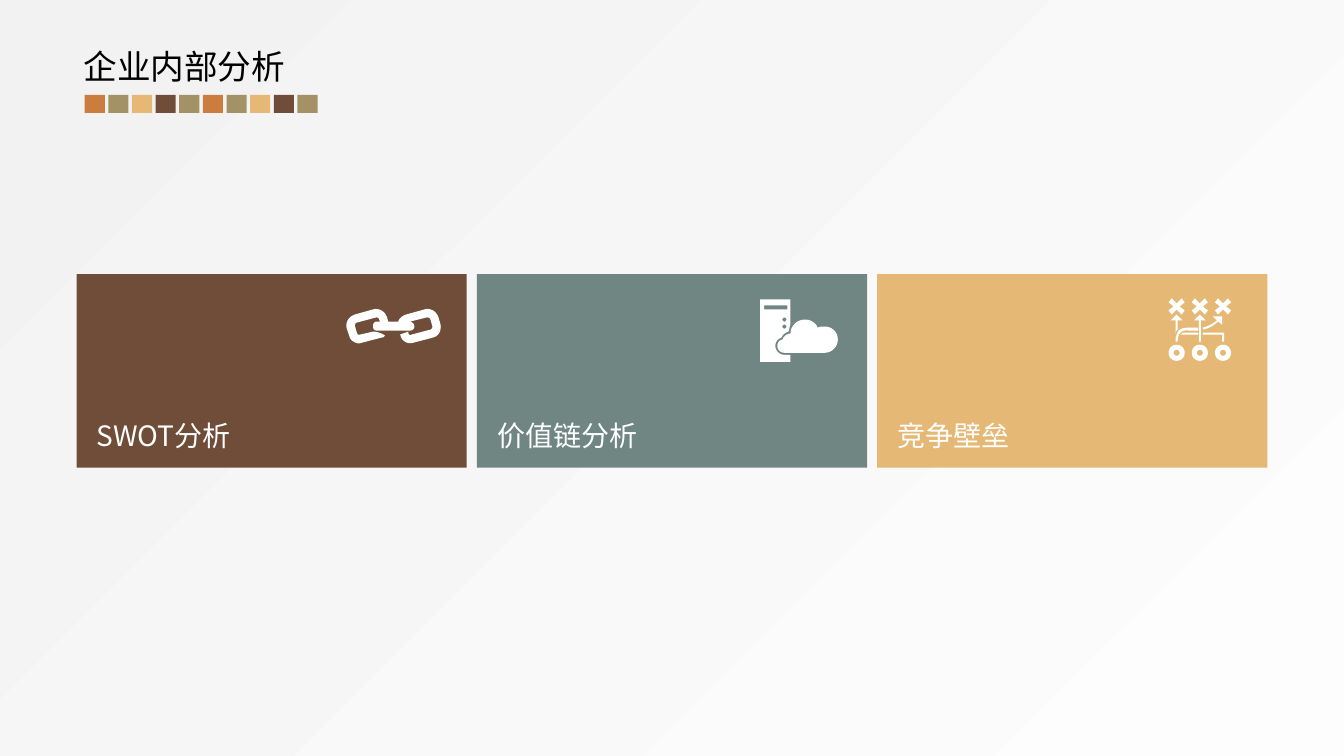
from math import cos, pi, sin

from lxml import etree
from pptx import Presentation
from pptx.dml.color import RGBColor
from pptx.enum.shapes import MSO_SHAPE
from pptx.enum.text import MSO_ANCHOR, MSO_AUTO_SIZE, PP_ALIGN
from pptx.oxml.ns import qn
from pptx.util import Inches, Pt

RECT = MSO_SHAPE.RECTANGLE
BOTTOM = MSO_ANCHOR.BOTTOM
LEFT = PP_ALIGN.LEFT
FIT_SHAPE = MSO_AUTO_SIZE.SHAPE_TO_FIT_TEXT
FONT = "Noto Sans CJK SC"

BLACK = RGBColor(0x00, 0x00, 0x00)
WHITE = RGBColor(0xFF, 0xFF, 0xFF)
PALE = RGBColor(0xFD, 0xFD, 0xFD)
GREY = RGBColor(0xF2, 0xF2, 0xF2)
BROWN = RGBColor(0x6F, 0x4D, 0x39)
TEAL = RGBColor(0x6F, 0x86, 0x83)
SAND = RGBColor(0xE6, 0xB8, 0x75)
ORANGE = RGBColor(0xCB, 0x7D, 0x40)
OLIVE = RGBColor(0xA2, 0x92, 0x66)

prs = Presentation()
prs.slide_width, prs.slide_height = Inches(13.33), Inches(7.5)
slide = prs.slides.add_slide(prs.slide_layouts[6])
shapes = slide.shapes


def draw_icon(contours):
    """Fill contours in white; a point of six numbers is a cubic curve."""
    builder = None
    for contour in contours:
        points = [contour[0]]
        for step in contour[1:]:
            if len(step) == 2:
                points.append(step)
                continue
            x0, y0 = points[-1]
            x1, y1, x2, y2, x3, y3 = step
            for k in range(1, 9):
                t = k / 8
                a, b, c, d = (1 - t) ** 3, 3 * t * (1 - t) ** 2, 3 * t * t * (1 - t), t ** 3
                points.append((a * x0 + b * x1 + c * x2 + d * x3,
                               a * y0 + b * y1 + c * y2 + d * y3))
        points = [(x * 1000, y * 1000) for x, y in points]
        if builder is None:
            builder = shapes.build_freeform(*points[0], scale=Inches(1) / 1000)
        else:
            builder.move_to(*points[0])
        builder.add_line_segments(points[1:], close=True)
    sp = builder.convert_to_shape()
    sp.shadow.inherit = False
    sp.fill.solid()
    sp.fill.fore_color.rgb = WHITE
    sp.line.fill.background()


def circle(cx, cy, radius):
    return [(cx + radius * cos(k * pi / 16), cy + radius * sin(k * pi / 16)) for k in range(32)]


# Background: radial gradient from the bottom right corner
fill = slide.background.fill
fill.gradient()
for stop, color in zip(fill.gradient_stops, (PALE, GREY)):
    stop.color.rgb = color
lin = next(slide.element.iter(qn("a:lin")))
radial = etree.Element(qn("a:path"), path="circle")
etree.SubElement(radial, qn("a:fillToRect"), l="100000", t="100000")
lin.getparent().replace(lin, radial)

# Topic tiles
TILE_LEFT, TILE_TOP, TILE_PITCH = 0.76, 2.72, 3.97
labels = []
for col, (topic, color) in enumerate([("SWOT分析", BROWN), ("价值链分析", TEAL), ("竞争壁垒", SAND)]):
    sp = shapes.add_shape(RECT, Inches(TILE_LEFT + col * TILE_PITCH), Inches(TILE_TOP),
                          Inches(3.87), Inches(1.92))
    sp.shadow.inherit = False
    sp.fill.solid()
    sp.fill.fore_color.rgb = color
    sp.line.fill.background()
    tf = sp.text_frame
    tf.vertical_anchor = BOTTOM
    tf.margin_left = tf.margin_right = Inches(0.2)
    tf.margin_top = tf.margin_bottom = Inches(0.16)
    labels.append((tf, topic, 20, WHITE))

# Chain
draw_icon([[
    (4.37, 3.22), (4.35, 3.15), (4.33, 3.09, 4.27, 3.05, 4.21, 3.07), (4.03, 3.12),
    (3.99, 3.13, 3.96, 3.16, 3.95, 3.19), (3.85, 3.19), (3.84, 3.15),
    (3.82, 3.09, 3.76, 3.05, 3.7, 3.07), (3.52, 3.12), (3.46, 3.14, 3.42, 3.2, 3.44, 3.26),
    (3.46, 3.32), (3.47, 3.35, 3.48, 3.38, 3.51, 3.39), (3.54, 3.41, 3.57, 3.41, 3.59, 3.4),
    (3.78, 3.35), (3.8, 3.35, 3.81, 3.34, 3.82, 3.33), (3.78, 3.3, 3.73, 3.29, 3.7, 3.29),
    (3.57, 3.32), (3.55, 3.32), (3.54, 3.3), (3.52, 3.23), (3.52, 3.22, 3.53, 3.2, 3.54, 3.2),
    (3.73, 3.15), (3.74, 3.15, 3.76, 3.15, 3.76, 3.17), (3.77, 3.19), (3.74, 3.19),
    (3.71, 3.19, 3.7, 3.21, 3.7, 3.24), (3.7, 3.26, 3.71, 3.28, 3.74, 3.28), (4.07, 3.28),
    (4.09, 3.28, 4.11, 3.26, 4.11, 3.24), (4.11, 3.21, 4.09, 3.2, 4.07, 3.19), (4.23, 3.15),
    (4.25, 3.15, 4.26, 3.15, 4.27, 3.17), (4.29, 3.24), (4.29, 3.25, 4.28, 3.27, 4.27, 3.27),
    (4.08, 3.32), (4.07, 3.33, 4.05, 3.32, 4.05, 3.3), (4.05, 3.29),
    (4.02, 3.3, 3.99, 3.31, 3.97, 3.32), (3.98, 3.38, 4.04, 3.42, 4.1, 3.4), (4.29, 3.35),
    (4.35, 3.34, 4.38, 3.28, 4.37, 3.22)]])

# Server and cloud
cloud = [(8.31, 3.37), (8.31, 3.44, 8.25, 3.5, 8.18, 3.5), (7.78, 3.5),
         (7.74, 3.5, 7.71, 3.47, 7.71, 3.43), (7.71, 3.4, 7.73, 3.37, 7.76, 3.37),
         (7.77, 3.34, 7.8, 3.31, 7.84, 3.31), (7.84, 3.23, 7.91, 3.17, 7.98, 3.17),
         (8.04, 3.17, 8.09, 3.2, 8.11, 3.25), (8.13, 3.24, 8.16, 3.24, 8.18, 3.24),
         (8.25, 3.24, 8.31, 3.29, 8.31, 3.37)]
server = [(7.84, 3.52), (7.84, 3.59), (7.54, 3.59), (7.54, 2.97), (7.84, 2.97), (7.84, 3.22),
          (7.83, 3.24, 7.83, 3.27, 7.82, 3.29), (7.79, 3.3, 7.76, 3.32, 7.75, 3.35),
          (7.71, 3.36, 7.69, 3.4, 7.69, 3.43), (7.69, 3.48, 7.73, 3.52, 7.78, 3.52)]
slot = [(7.58, 3.03), (7.81, 3.03), (7.81, 3.07), (7.58, 3.07)]
draw_icon([cloud, server, slot, circle(7.78, 3.24, 0.02), circle(7.78, 3.17, 0.02)])

# Game plan: crosses above, rings below, arrows between
CROSS = [(0.03, 0), (0.08, 0.04), (0.05, 0.08), (0, 0.03), (-0.05, 0.08), (-0.08, 0.04),
         (-0.03, 0), (-0.08, -0.04), (-0.05, -0.08), (0, -0.03), (0.05, -0.08), (0.08, -0.04)]
plan = []
for col in range(3):
    cx = 11.67 + col * 0.23
    plan += [[(cx + dx, 3.04 + dy) for dx, dy in CROSS],
             circle(cx, 3.5, 0.08), circle(cx, 3.5, 0.03)]
plan += [
    [(11.93, 3.3), (11.93, 3.32), (12.12, 3.32), (12.12, 3.39), (12.14, 3.39), (12.14, 3.3)],
    [(11.73, 3.3), (11.71, 3.32), (11.88, 3.32), (11.88, 3.3)],
    [(11.67, 3.12), (11.61, 3.18), (11.66, 3.18), (11.66, 3.31),
     (11.66, 3.29, 11.67, 3.28, 11.68, 3.27), (11.68, 3.18), (11.73, 3.18)],
    [(12.03, 3.14), (12.07, 3.18), (12.02, 3.22, 11.97, 3.24, 11.93, 3.25), (11.93, 3.27),
     (11.98, 3.26, 12.03, 3.24, 12.08, 3.19), (12.12, 3.22), (12.12, 3.14)],
    [(11.82, 3.25), (11.77, 3.25, 11.72, 3.25, 11.69, 3.28),
     (11.68, 3.3, 11.67, 3.31, 11.67, 3.32), (11.66, 3.34, 11.66, 3.36, 11.66, 3.39),
     (11.68, 3.39), (11.68, 3.36, 11.69, 3.34, 11.69, 3.32), (11.71, 3.3),
     (11.73, 3.27, 11.77, 3.28, 11.82, 3.28), (11.88, 3.28), (11.88, 3.25)],
    [(11.96, 3.18), (11.9, 3.12), (11.84, 3.18), (11.89, 3.18), (11.89, 3.39),
     (11.91, 3.39), (11.91, 3.18)],
]
draw_icon(plan)

# Colour strip under the title
for i, color in enumerate([ORANGE, OLIVE, SAND, BROWN, OLIVE] * 2):
    sp = shapes.add_shape(RECT, Inches(0.84 + i * 2.11 / 9), Inches(0.94), Inches(0.2), Inches(0.18))
    sp.shadow.inherit = False
    sp.fill.solid()
    sp.fill.fore_color.rgb = color
    sp.line.fill.background()

# Title
tf = shapes.add_textbox(Inches(0.73), Inches(0.41), Inches(2.2), Inches(0.5)).text_frame
tf.word_wrap = False
tf.auto_size = FIT_SHAPE
labels.append((tf, "企业内部分析", 24, BLACK))

# Text of the tiles and the title
for tf, text, size, color in labels:
    p = tf.paragraphs[0]
    p.text = text
    p.alignment = LEFT
    p.font.size = Pt(size)
    p.font.name = FONT
    p.font.color.rgb = color
    etree.SubElement(p.font._element, qn("a:ea"), typeface=FONT)

prs.save("out.pptx")
